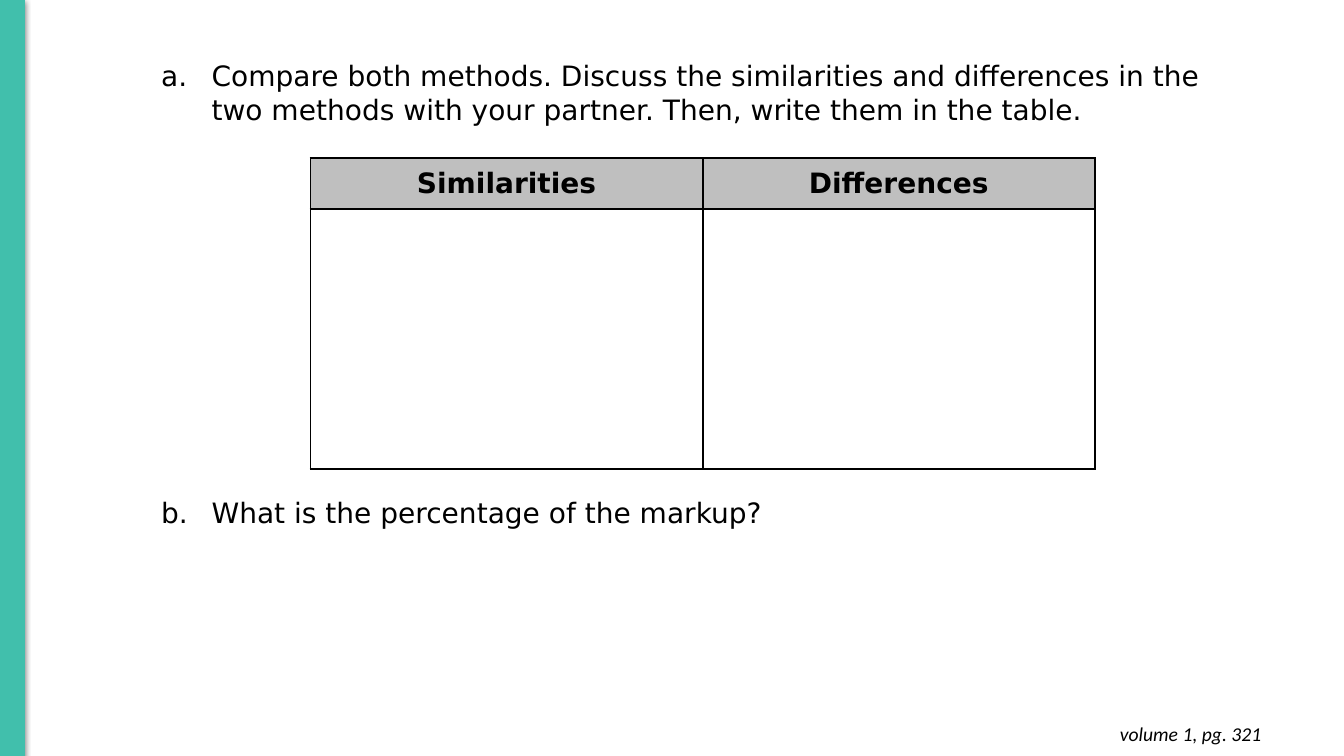
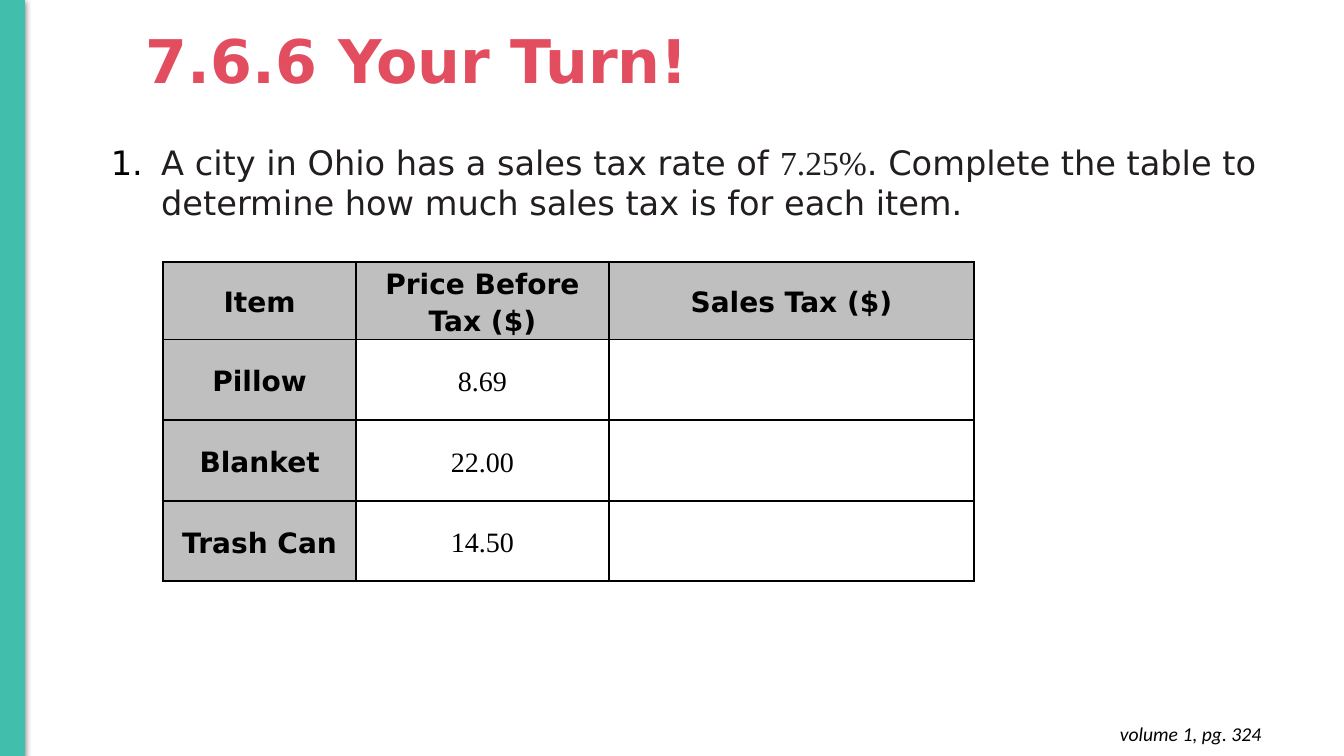
from lxml import etree
from pptx import Presentation
from pptx.dml.color import RGBColor
from pptx.enum.shapes import MSO_SHAPE
from pptx.enum.text import MSO_ANCHOR, PP_ALIGN
from pptx.oxml.ns import qn
from pptx.util import Emu, Pt

RECT = MSO_SHAPE.RECTANGLE
TOP, MIDDLE = MSO_ANCHOR.TOP, MSO_ANCHOR.MIDDLE
LEFT, CENTER, RIGHT = PP_ALIGN.LEFT, PP_ALIGN.CENTER, PP_ALIGN.RIGHT

SCALE = 9144
WIDE, HIGH = 1333, 750
BLACK, GRAY, TEAL, RED, INK = "000000", "BFBFBF", "41BFAC", "E24E5F", "221E1F"
SANS, SERIF, FOOT = "DejaVu Sans", "Times New Roman", "Calibri"


def px(n):
    return Emu(n * SCALE)


def paint(hue):
    return RGBColor.from_string(hue)


def node(owner, tag, **attrs):
    return etree.SubElement(owner, qn(tag), {k: str(v) for k, v in attrs.items()})


def style(font, face, size, hue=BLACK, bold=False, italic=False):
    font.name, font.size = face, Pt(size)
    font.bold, font.italic = bold, italic
    font.color.rgb = paint(hue)


def inset(frame, side, edge):
    frame.margin_left = frame.margin_right = px(side)
    frame.margin_top = frame.margin_bottom = px(edge)


def add_box(slide, x, y, w, h, edge=5, anchor=TOP):
    frame = slide.shapes.add_textbox(px(x), px(y), px(w), px(h)).text_frame
    frame.word_wrap = True
    frame.vertical_anchor = anchor
    inset(frame, 10, edge)
    return frame


def add_line(para, text, *look, align=LEFT, **extra):
    para.alignment = align
    para.add_run().text = text
    style(para.font, *look, **extra)


def number(para, kind, indent):
    props = para._p.get_or_add_pPr()
    props.set("marL", str(px(indent)))
    props.set("indent", str(px(-50)))
    node(node(props, "a:buClr"), "a:srgbClr", val=BLACK)
    node(props, "a:buAutoNum", type=kind)


def add_bar(slide):
    bar = slide.shapes.add_shape(RECT, 0, 0, px(24), px(HIGH))
    bar.fill.solid()
    bar.fill.fore_color.rgb = paint(TEAL)
    bar.line.color.rgb = paint(TEAL)
    bar.line.width = Pt(0.75)
    glow = node(node(bar._element.spPr, "a:effectLst"), "a:outerShdw",
                blurRad=Pt(4.5), dist=Pt(1.5), dir=5400000, algn="ctr", rotWithShape=0)
    node(node(glow, "a:srgbClr", val=BLACK), "a:alpha", val=50000)


def add_page(deck, page):
    slide = deck.slides.add_slide(deck.slide_layouts[6])
    add_bar(slide)
    foot = add_box(slide, 973, 706, 288, 44, edge=10)
    add_line(foot.paragraphs[0], f"volume 1, pg. {page}", FOOT, 14, align=RIGHT, italic=True)
    return slide


def border(cell):
    props = cell._tc.get_or_add_tcPr()
    for side in "LRTB":
        line = node(props, f"a:ln{side}", w=Pt(1.5))
        node(node(line, "a:solidFill"), "a:srgbClr", val=BLACK)


def add_grid(slide, x, y, cols, rows, data, side, edge, space, stub):
    grid = slide.shapes.add_table(len(rows), len(cols), px(x), px(y),
                                  px(sum(cols)), px(sum(rows))).table
    for col, w in zip(grid.columns, cols):
        col.width = px(w)
    for r, (h, texts) in enumerate(zip(rows, data)):
        grid.rows[r].height = px(h)
        for c, text in enumerate(texts):
            cell = grid.cell(r, c)
            head = r == 0 or (stub and c == 0)
            border(cell)
            inset(cell, side, edge)
            cell.vertical_anchor = MIDDLE
            if head:
                cell.fill.solid()
                cell.fill.fore_color.rgb = paint(GRAY)
            else:
                cell.fill.background()
            if text:
                para = cell.text_frame.paragraphs[0]
                para.line_spacing = space
                add_line(para, text, SANS if head else SERIF, 20, align=CENTER, bold=head)


def compare(deck):
    slide = add_page(deck, 321)
    frame = add_box(slide, 100, 53, 1150, 481)
    first, last = frame.paragraphs[0], frame.add_paragraph()
    asks = (
        (first, "Compare both methods. Discuss the similarities and differences in the "
                "two methods with your partner. Then, write them in the table."),
        (last, "What is the percentage of the markup?"),
    )
    for para, text in asks:
        number(para, "alphaLcPeriod", 100)
        add_line(para, text, SANS, 20)
    last.space_before = Pt(264)
    add_grid(slide, 308, 157, (389, 389), (50, 258),
             (("Similarities", "Differences"), ("", "")), 10, 5, 1.0, False)


def your_turn(deck):
    slide = add_page(deck, 324)
    title = add_box(slide, 135, 22, 877, 82, anchor=MIDDLE).paragraphs[0]
    title.line_spacing = 0.9
    add_line(title, "7.6.6 Your Turn!", SANS, 43, RED, bold=True)
    para = add_box(slide, 100, 136, 1161, 91).paragraphs[0]
    number(para, "arabicPeriod", 50)
    add_line(para, "A city in Ohio has a sales tax rate of ", SANS, 24, INK)
    rate = para.add_run()
    rate.text = "7.25%"
    rate.font.name = SERIF
    para.add_run().text = (". Complete the table to determine how much "
                           "sales tax is for each item.")
    data = (
        ("Item", "Price Before Tax ($)", "Sales Tax ($)"),
        ("Pillow", "8.69", ""),
        ("Blanket", "22.00", ""),
        ("Trash Can", "14.50", ""),
    )
    add_grid(slide, 162, 260, (191, 251, 362), (75, 80, 80, 80), data, 7, 0, 1.15, True)


def main():
    deck = Presentation()
    deck.slide_width, deck.slide_height = px(WIDE), px(HIGH)
    compare(deck)
    your_turn(deck)
    deck.save("out.pptx")


if __name__ == "__main__":
    main()
